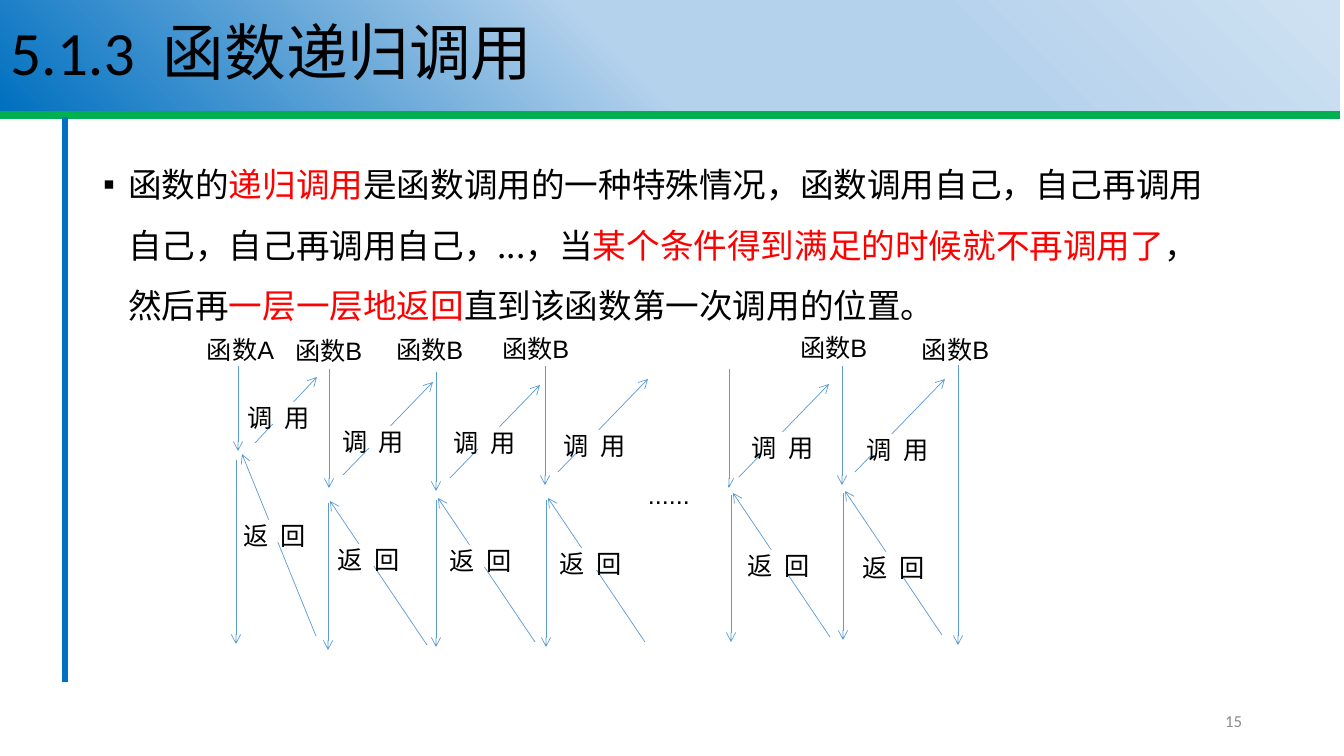
from pptx import Presentation
from pptx.dml.color import RGBColor
from pptx.enum.shapes import MSO_CONNECTOR, MSO_SHAPE
from pptx.enum.text import MSO_ANCHOR, MSO_AUTO_SIZE, PP_ALIGN
from pptx.oxml.ns import qn
from pptx.util import Emu, Pt
from lxml.etree import SubElement

PX = 914400 / 100.8
BLUE, RED, BLACK = "5B9BD5", "FF0000", "000000"
CJK = "Noto Sans CJK SC"


def px(*values):
    """Turn pixels into EMU lengths."""
    return [Emu(round(v * PX)) for v in values]


def rgb(code):
    """Return the colour for a hex string."""
    return RGBColor.from_string(code)


def place(sp, left, top, width, height):
    """Move and size a shape, in pixels."""
    sp.left, sp.top, sp.width, sp.height = px(left, top, width, height)


def add_run(p, text, size=18, font="Arial", color=BLACK):
    """Add a formatted run to a paragraph."""
    r = p.add_run()
    r.text = text
    r.font.size, r.font.name = Pt(size), font
    r.font.color.rgb = rgb(color)
    SubElement(r._r.get_or_add_rPr(), qn("a:ea")).set("typeface", CJK)


def add_line(shapes, start, end, color=BLUE, width=0.5, arrow=True):
    """Draw a straight line, with an open arrowhead at its end if wanted."""
    cn = shapes.add_connector(MSO_CONNECTOR.STRAIGHT, *px(*start, *end))
    cn.line.color.rgb = rgb(color)
    cn.line.width = Pt(width)
    if arrow:
        SubElement(cn.line._get_or_add_ln(), qn("a:tailEnd")).set("type", "arrow")
    SubElement(cn._element.spPr, qn("a:effectLst"))


def add_label(shapes, text, pos, size=(74, 22), inset=0):
    """Add a white box holding a left-aligned label."""
    sp = shapes.add_shape(MSO_SHAPE.RECTANGLE, *px(*pos, *size))
    sp.shadow.inherit = False
    sp.fill.solid()
    sp.fill.fore_color.rgb = rgb("FFFFFF")
    sp.line.fill.background()
    tf = sp.text_frame
    tf.word_wrap = True
    tf.vertical_anchor = MSO_ANCHOR.TOP
    tf.margin_left = tf.margin_right = 0
    tf.margin_top = tf.margin_bottom = px(inset)[0]
    p = tf.paragraphs[0]
    p.alignment = PP_ALIGN.LEFT
    add_run(p, text)


def add_call(shapes, down, call, tip, label, down_len=119, call_run=(90, -93),
             return_run=(97, 144), resume=(-2, 2), resume_len=147):
    """Draw one call level: run, call, return and resume arrows with labels."""
    def shift(pos, step):
        """Move a point by a step."""
        return pos[0] + step[0], pos[1] + step[1]

    start = shift(tip, resume)
    add_line(shapes, down, shift(down, (0, down_len)))
    add_line(shapes, call, shift(call, call_run))
    add_line(shapes, shift(tip, return_run), tip)
    add_line(shapes, start, shift(start, (0, resume_len)))
    add_label(shapes, "调  用", label)
    add_label(shapes, "返  回", shift(label, (-4, 118)))


def add_title(sp, text):
    """Fill the title placeholder and give it the gradient band."""
    place(sp, 0, 0, 1340, 111)
    sp.fill.gradient()
    sp.fill.gradient_angle = 225
    stops = sp._element.spPr.find(".//" + qn("a:gsLst"))
    for old in list(stops):
        stops.remove(old)
    for pos, color in [(1, "CEE1F2"), (29, "B5D2EC"), (53, "B5D2EC"), (100, "0070C0")]:
        gs = SubElement(stops, qn("a:gs"), pos=str(pos * 1000))
        SubElement(gs, qn("a:srgbClr"), val=color)
    tf = sp.text_frame
    tf.auto_size = MSO_AUTO_SIZE.NONE
    tf.vertical_anchor = MSO_ANCHOR.MIDDLE
    p = tf.paragraphs[0]
    p.alignment, p.line_spacing = PP_ALIGN.LEFT, 0.9
    add_run(p, text, size=44, font="Calibri")


def add_body(sp, parts):
    """Fill the body placeholder with one bulleted paragraph."""
    place(sp, 93, 139, 1144, 499)
    tf = sp.text_frame
    tf.auto_size = MSO_AUTO_SIZE.NONE
    p = tf.paragraphs[0]
    p.line_spacing, p.space_before = Pt(43.2), Pt(0)
    pPr = p._p.get_or_add_pPr()
    indent = px(25)[0]
    pPr.set("marL", str(indent))
    pPr.set("indent", str(-indent))
    SubElement(pPr, qn("a:buFont"), typeface="Arial")
    SubElement(pPr, qn("a:buChar"), char="▪")
    for text, color in parts:
        add_run(p, text, size=24, font=CJK, color=color)


def add_page_number(shapes, text):
    """Add the page number at the lower right."""
    tf = shapes.add_textbox(*px(949, 701, 303, 40)).text_frame
    tf.word_wrap = True
    tf.vertical_anchor = MSO_ANCHOR.MIDDLE
    p = tf.paragraphs[0]
    p.alignment = PP_ALIGN.RIGHT
    add_run(p, text, size=12, font="Calibri", color="8C8C8C")


def add_diagram(shapes):
    """Draw the chain of recursive calls."""
    add_call(shapes, (238, 366), (255, 443), (242, 454), (248, 402), down_len=85,
             call_run=(62, -66), return_run=(74, 182), resume=(-6, 6), resume_len=184)
    for level in [
        ((329, 369), (343, 475), (330, 501), (342, 426)),
        ((436, 372), (450, 478), (438, 498), (454, 427)),
        ((545, 366), (558, 472), (548, 498), (564, 430)),
        ((729, 369), (739, 477), (733, 493), (752, 432)),
        ((842, 366), (855, 472), (845, 491), (867, 434)),
    ]:
        add_call(shapes, *level)
    add_line(shapes, (958, 365), (958, 645))
    add_label(shapes, "......", (648, 474), size=(80, 33), inset=5)
    add_label(shapes, "函数A", (207, 334))
    for pos in [(295, 335), (396, 334), (502, 333), (800, 332), (922, 334)]:
        add_label(shapes, "函数B", pos)


def main():
    """Build the slide and save it."""
    prs = Presentation()
    prs.slide_width, prs.slide_height = px(1344, 756)
    s = prs.slides.add_slide(prs.slide_layouts[1])
    add_title(s.shapes.title, "5.1.3  函数递归调用")
    add_body(s.placeholders[1], [
        ("函数的", BLACK),
        ("递归调用", RED),
        ("是函数调用的一种特殊情况，函数调用自己，自己再调用自己，自己再调用自己，...，当", BLACK),
        ("某个条件得到满足的时候就不再调用了", RED),
        ("，然后再", BLACK),
        ("一层一层地返回", RED),
        ("直到该函数第一次调用的位置。", BLACK),
    ])
    add_line(s.shapes, (0, 115), (1340, 115), color="00B050", width=5.25, arrow=False)
    add_line(s.shapes, (65, 117), (65, 682), color="0070C0", width=3.75, arrow=False)
    add_page_number(s.shapes, "15")
    add_diagram(s.shapes.add_group_shape().shapes)
    prs.save("out.pptx")


main()
